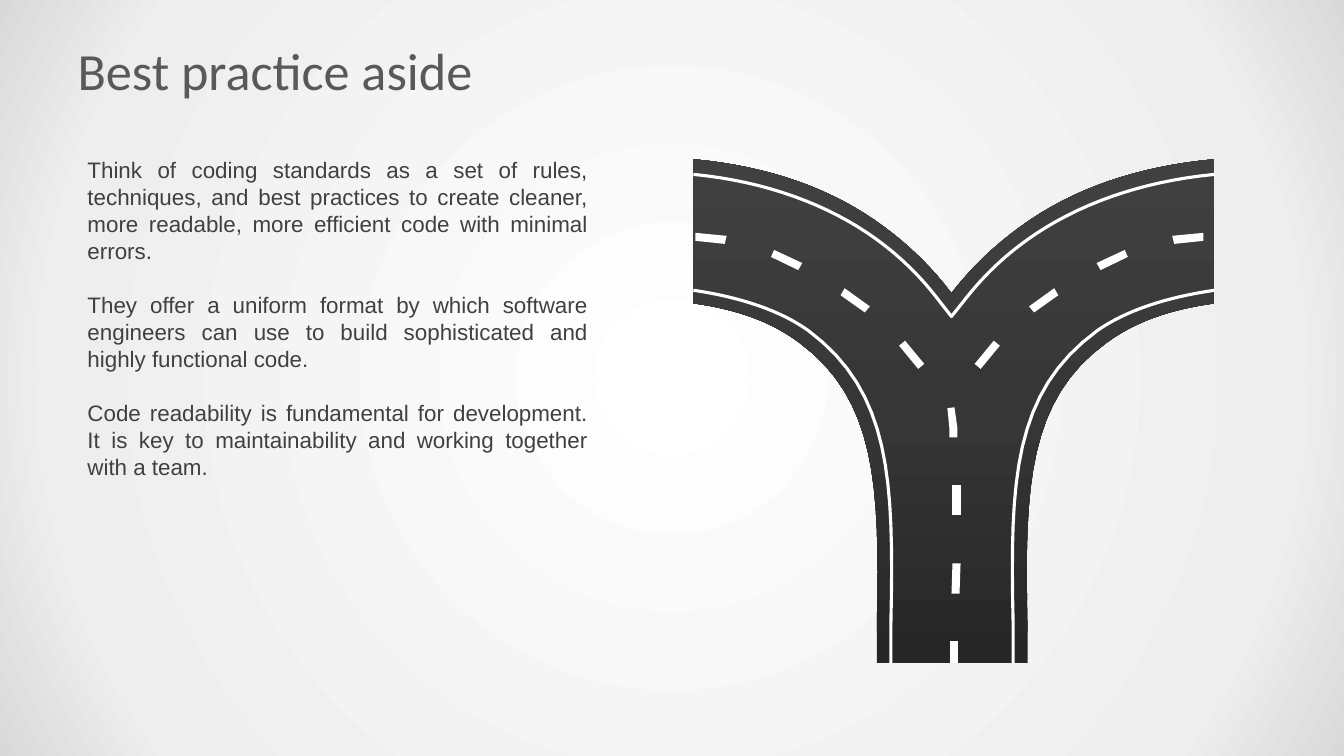
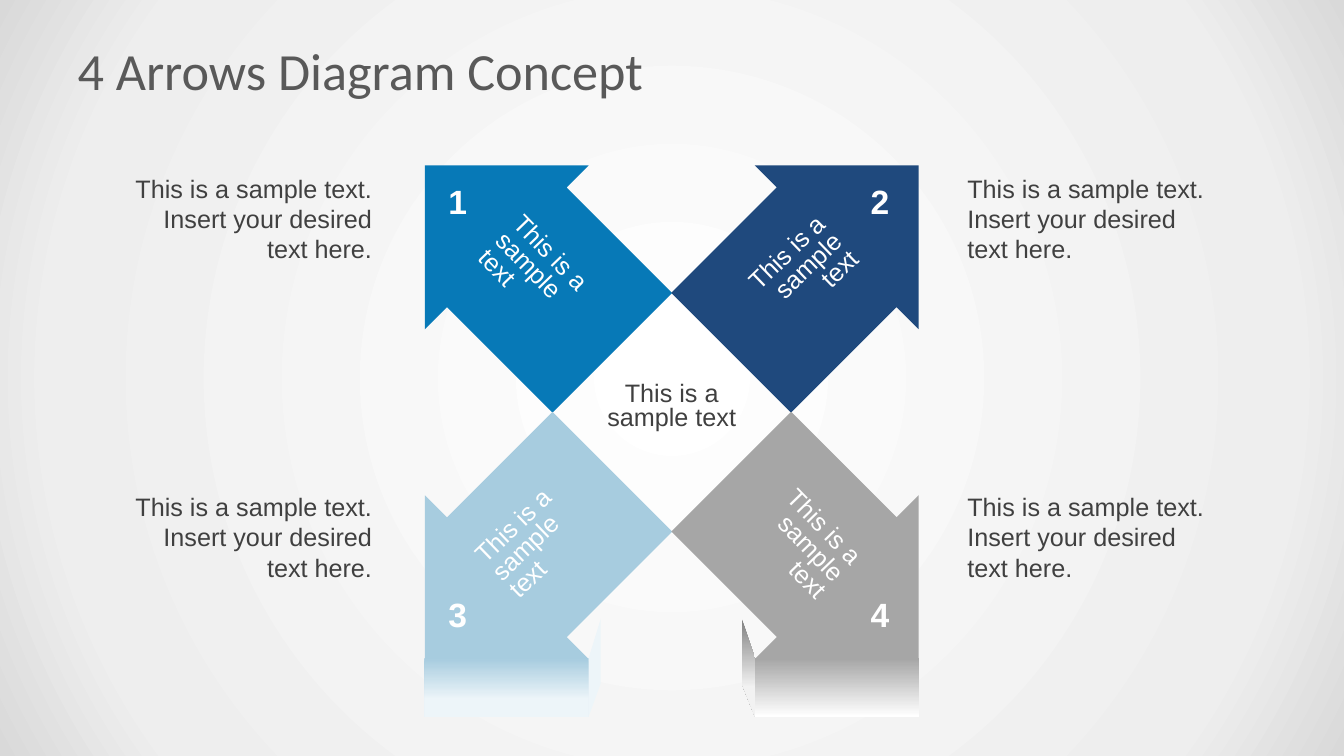
from dataclasses import dataclass

from lxml.etree import SubElement
from pptx import Presentation
from pptx.dml.color import RGBColor
from pptx.enum.shapes import MSO_SHAPE
from pptx.enum.text import MSO_ANCHOR, MSO_AUTO_SIZE, PP_ALIGN
from pptx.oxml.ns import qn
from pptx.util import Cm, Pt


@dataclass(frozen=True)
class Theme:
    title_font: str = "Calibri"
    body_font: str = "Arial"
    title_size: float = 37.3
    number_size: float = 24
    label_size: float = 18
    body_size: float = 16
    title: str = "595959"
    text: str = "404040"
    white: str = "FFFFFF"
    blue: str = "0779B7"
    navy: str = "1F497D"
    sky: str = "A7CCDF"
    pale: str = "EDF5F9"
    gray: str = "A6A6A6"
    backdrop: tuple = ((0, "FFFFFF"), (81, "EEEEEE"), (100, "D9D9D9"))
    asphalt: tuple = ((0, "262626"), (50, "363636"), (100, "404040"))
    gray_fade: tuple = ((0, "A6A6A6"), (100, "FFFFFF"))
    gray_side: tuple = ((0, "808080"), (70, "F2F2F2"))
    sky_fade: tuple = ((0, "A7CCDF"), (71, "EDF5F9"))


def inch(value):
    return Cm(2.54 * value)


def set_gradient(fill, parent, stops, angle=None):
    fill.solid()
    solid = parent.find(qn("a:solidFill"))
    grad = SubElement(parent, qn("a:gradFill"), rotWithShape="1")
    parent.replace(solid, grad)
    stop_list = SubElement(grad, qn("a:gsLst"))
    for position, color in stops:
        stop = SubElement(stop_list, qn("a:gs"), pos=str(position * 1000))
        SubElement(stop, qn("a:srgbClr"), val=color)
    if angle is None:
        circle = SubElement(grad, qn("a:path"), path="circle")
        SubElement(circle, qn("a:fillToRect"), l="50000", t="50000", r="50000", b="50000")
    else:
        SubElement(grad, qn("a:lin"), ang=str(angle * 60000), scaled="0")


def curve(points, steps=16):
    result = [points[0]]
    for i in range(0, len(points) - 3, 3):
        a, b, c, d = points[i:i + 4]
        for n in range(1, steps + 1):
            t = n / steps
            u = 1 - t
            result.append(tuple(
                u**3 * a[k] + 3 * u * u * t * b[k] + 3 * u * t * t * c[k] + t**3 * d[k]
                for k in (0, 1)))
    return result


def mirror(points, axis, stretch=1):
    return [(axis + (axis - x) * stretch, y) for x, y in points]


class Deck:
    def __init__(self, theme):
        self.theme = theme
        self.prs = Presentation()
        self.prs.slide_width, self.prs.slide_height = Cm(33.87), Cm(19.05)
        master = self.prs.slide_master
        fill = master.background.fill
        fill.solid()
        bg = next(master.element.iter(qn("p:bgPr")))
        set_gradient(fill, bg, theme.backdrop)

    def slide(self, title):
        th = self.theme
        self.s = self.prs.slides.add_slide(self.prs.slide_layouts[5])
        sp = self.s.shapes.title
        sp.left, sp.top, sp.width, sp.height = map(inch, (0.67, 0.3, 12, 0.78))
        tf = sp.text_frame
        tf.text = title
        tf.auto_size = MSO_AUTO_SIZE.NONE
        tf.vertical_anchor = MSO_ANCHOR.MIDDLE
        p = tf.paragraphs[0]
        p.alignment = PP_ALIGN.LEFT
        self.font(p, th.title_size, th.title, name=th.title_font)

    def font(self, p, size, color, bold=False, name=None):
        for r in p.runs:
            r.font.name = name or self.theme.body_font
            r.font.size = Pt(size)
            r.font.bold = bold
            r.font.color.rgb = RGBColor.from_string(color)

    def text(self, paragraphs, box, size, color, align=PP_ALIGN.LEFT, bold=False,
             spacing=None, gap=0, rotation=0, wrap=True):
        sp = self.s.shapes.add_textbox(*map(inch, box))
        sp.rotation = rotation
        tf = sp.text_frame
        tf.word_wrap = wrap
        tf.text = "\n".join(paragraphs)
        for i, p in enumerate(tf.paragraphs):
            p.alignment = align
            p.line_spacing = spacing
            if i:
                p.space_before = Pt(gap)
            self.font(p, size, color, bold)

    def paint(self, sp, fill, angle=90):
        sp.shadow.inherit = False
        sp.line.fill.background()
        if isinstance(fill, str):
            sp.fill.solid()
            sp.fill.fore_color.rgb = RGBColor.from_string(fill)
        else:
            set_gradient(sp.fill, sp._element.spPr, fill, angle)

    def shape(self, kind, box, fill, rotation=0, adjustments=()):
        sp = self.s.shapes.add_shape(kind, *map(inch, box))
        for i, value in enumerate(adjustments):
            sp.adjustments[i] = value
        sp.rotation = rotation
        self.paint(sp, fill)

    def outline(self, points, close):
        start, *rest = [(inch(x), inch(y)) for x, y in points]
        builder = self.s.shapes.build_freeform(*start)
        builder.add_line_segments(rest, close=close)
        return builder.convert_to_shape()

    def polygon(self, points, fill, angle=90):
        self.paint(self.outline(points, True), fill, angle)

    def stroke(self, points, color, width):
        sp = self.outline(points, False)
        sp.shadow.inherit = False
        sp.fill.background()
        sp.line.color.rgb = RGBColor.from_string(color)
        sp.line.width = Pt(width)


def road_slide(deck):
    th = deck.theme
    deck.slide("Best practice aside")
    axis, stretch, dash_axis = 9.44, 1.02, 9.42
    upper_edge = curve([(9.44, 2.91), (9.26, 2.67), (9.04, 2.45), (8.77, 2.25),
                        (8.26, 1.87), (7.63, 1.65), (6.88, 1.58)])
    lower_edge = curve([(6.88, 3.01), (7.31, 3.07), (7.65, 3.19), (7.93, 3.4),
                        (8.69, 3.96), (8.73, 4.82), (8.7, 6.16)])
    left_half = upper_edge + lower_edge + [(8.7, 6.58)]
    right_half = mirror(left_half, axis, stretch)
    deck.polygon(left_half + right_half[:0:-1], th.asphalt, 270)

    side_dashes = [
        [(6.9, 2.31), (6.9, 2.39), (7.19, 2.42), (7.21, 2.34)],
        [(7.68, 2.48), (7.65, 2.55), (7.92, 2.68), (7.96, 2.61)],
        [(8.38, 2.86), (8.34, 2.93), (8.58, 3.1), (8.63, 3.04)],
        [(8.92, 3.43), (9.11, 3.66), (9.17, 3.61), (8.98, 3.38)],
    ]
    stem_dashes = [
        [(9.4, 4.05), (9.42, 4.25), (9.42, 4.34), (9.5, 4.34), (9.5, 4.25), (9.47, 4.04)],
        [(9.45, 4.81), (9.45, 5.11), (9.53, 5.11), (9.53, 4.81)],
        [(9.45, 5.59), (9.44, 5.89), (9.52, 5.89), (9.53, 5.59)],
        [(9.43, 6.36), (9.43, 6.58), (9.51, 6.58), (9.51, 6.36)],
    ]
    for dash in side_dashes + [mirror(d, dash_axis) for d in side_dashes] + stem_dashes:
        deck.polygon(dash, th.white)

    kerb = curve([(6.88, 2.88), (7.35, 2.95), (7.74, 3.08), (8.02, 3.28),
                  (8.84, 3.89), (8.87, 4.77), (8.84, 6.17)]) + [(8.84, 6.58)]
    fork = curve([(6.88, 1.73), (7.6, 1.8), (8.22, 2.03), (8.69, 2.37),
                  (8.94, 2.55), (9.15, 2.76), (9.33, 3)]) + [(9.44, 3.14)]
    for line in (kerb, mirror(kerb, axis, stretch),
                 fork + mirror(fork, axis, stretch)[-2::-1]):
        deck.stroke(line, th.white, 2.25)

    deck.text([
        "Think of coding standards as a set of rules, techniques, and best practices "
        "to create cleaner, more readable, more efficient code with minimal errors.",
        "They offer a uniform format by which software engineers can use to build "
        "sophisticated and highly functional code.",
        "Code readability is fundamental for development. It is key to maintainability "
        "and working together with a team.",
    ], (0.77, 1.5, 5.16, 3.33), th.body_size, th.text, PP_ALIGN.JUSTIFY,
        spacing=Pt(19.3), gap=19.3)


def arrows_slide(deck):
    th = deck.theme
    deck.slide("4 Arrows Diagram Concept")
    sample = "This is a sample text"
    arrows = [(th.blue, 225, 46), (th.navy, 315, 316), (th.sky, 135, 316), (th.gray, 45, 46)]
    for i, (color, direction, tilt) in enumerate(arrows):
        row, col = divmod(i, 2)
        deck.shape(MSO_SHAPE.RIGHT_ARROW, (3.83 + 3.04 * col, 1.42 + 3.04 * row, 2.63, 2.3),
                   color, direction, (0.73, 0.5))
        deck.text([f"{sample}. Insert your desired text here."],
                  (1.12 + 8.38 * col, 1.67 + 3.16 * row, 2.67, 1.01), th.label_size, th.text,
                  PP_ALIGN.LEFT if col else PP_ALIGN.RIGHT, spacing=Pt(21.5))
        deck.text([str(i + 1)], (4.35 + 4.19 * col, 1.75 + 4.09 * row, 0.39, 0.5),
                  th.number_size, th.white, bold=True, wrap=False)
        deck.text([sample], (4.7 + 2.67 * col, 2.3 + 2.67 * row, 1.19, 0.83),
                  th.label_size, th.white, PP_ALIGN.RIGHT if col else PP_ALIGN.LEFT,
                  spacing=0.8, rotation=tilt)

    top, height = 6.53, 0.58
    reflections = [(4.21, 5.84, 5.96, th.sky_fade, th.pale),
                   (7.49, 7.49, 7.36, th.gray_fade, th.gray_side)]
    for left, inner, far, front, side in reflections:
        deck.shape(MSO_SHAPE.RECTANGLE, (left, top, 1.63, height), front)
        deck.polygon([(far, 6.14), (inner, top), (inner, top + height), (far, 6.78)], side)
    deck.text([sample], (5.91, 3.75, 1.51, 0.59), th.label_size, th.text,
              PP_ALIGN.CENTER, spacing=0.8)


def main():
    deck = Deck(Theme())
    road_slide(deck)
    arrows_slide(deck)
    deck.prs.save("out.pptx")


if __name__ == "__main__":
    main()
